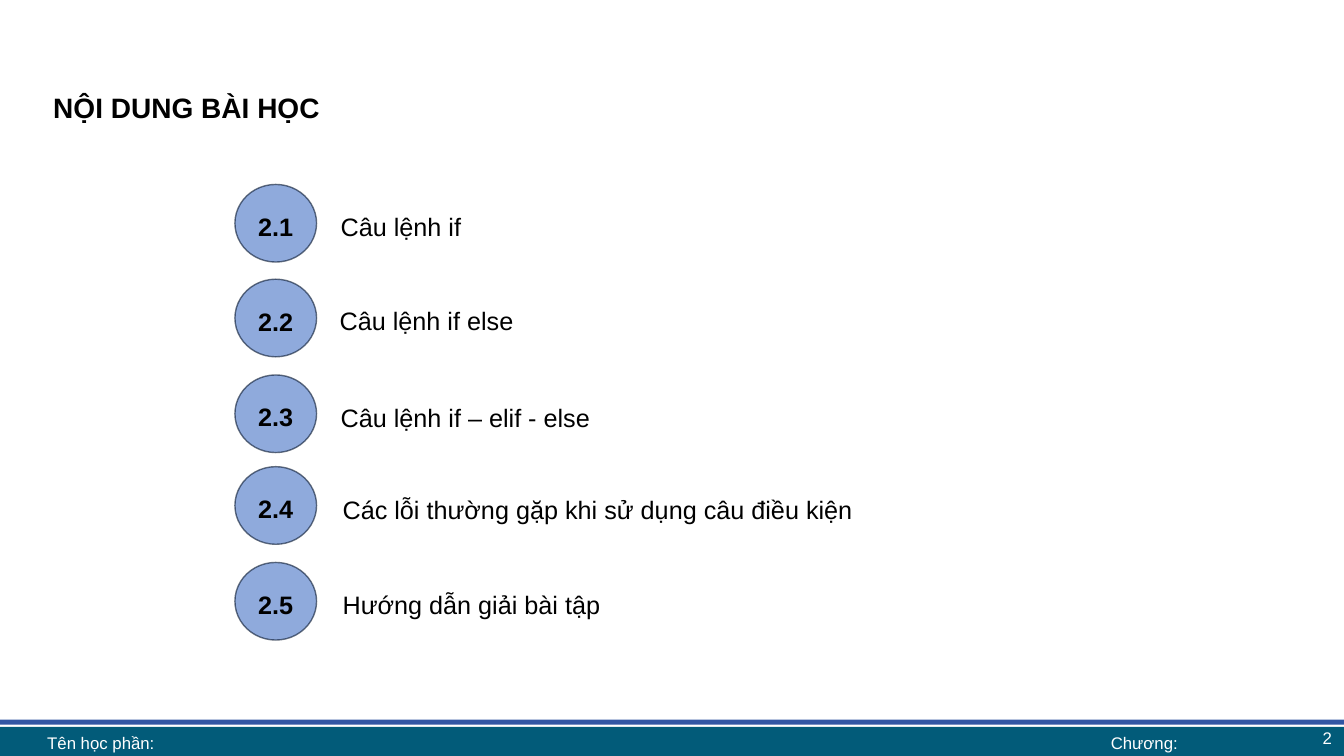
from lxml import etree
from pptx import Presentation
from pptx.dml.color import RGBColor
from pptx.enum.shapes import MSO_SHAPE as Kind
from pptx.enum.text import MSO_ANCHOR as Anchor, PP_ALIGN as Align
from pptx.oxml.ns import qn
from pptx.util import Pt

PX = 9144
SIZE = (1333, 750)
BLACK, WHITE = "000000", "FFFFFF"
DISC, EDGE = "8FAADC", "08172E"

BARS = [
    ((0, 721, 1333, 31), "025B79"),
    ((-1, 714, 1336, 5), "3256A4"),
]
TITLE = ("NỘI DUNG BÀI HỌC", (43, 78, 1247, 87))
FOOTER = [
    ("2", (1031, 714, 300, 35), Align.RIGHT),
    ("Chương:", (1060, 721, 150, 31), Align.CENTER),
    ("Tên học phần:", (37, 721, 1024, 31), Align.LEFT),
]
ITEMS = [
    ("2.1", 183, "Câu lệnh if", (328, 200, 757)),
    ("2.2", 277, "Câu lệnh if else", (327, 293, 762)),
    ("2.3", 372, "Câu lệnh if – elif - else", (328, 389, 506)),
    ("2.4", 463, "Các lỗi thường gặp khi sử dụng câu điều kiện",
     (330, 481, 620)),
    ("2.5", 558, "Hướng dẫn giải bài tập", (330, 575, 620)),
]
DISC_X, DISC_W, DISC_H = 233, 81, 77
LABEL_H = 42


def rgb(code):
    """Turn a hex string into a colour."""
    return RGBColor.from_string(code)


def emu(box):
    """Scale a box in px to EMU."""
    return [n * PX for n in box]


def shape(slide, kind, box, fill):
    """Add a flat filled shape without an outline."""
    item = slide.shapes.add_shape(kind, *emu(box))
    item.shadow.inherit = False
    item.fill.solid()
    item.fill.fore_color.rgb = rgb(fill)
    item.line.fill.background()
    return item


def write(item, text, size, color, align, anchor=Anchor.TOP, bold=False,
          lead=None, before=None):
    """Put one styled paragraph into a shape."""
    frame = item.text_frame
    frame.word_wrap = True
    frame.vertical_anchor = anchor
    frame.text = text
    para = frame.paragraphs[0]
    para.alignment = align
    para.line_spacing = lead
    para.space_before = before
    font = para.runs[0].font
    font.name, font.size, font.bold = "Arial", Pt(size), bold
    font.color.rgb = rgb(color)


def edge(item):
    """Give a disc its thin translucent outline."""
    item.line.color.rgb = rgb(EDGE)
    item.line.width = Pt(1)
    tint = item.line._ln.find(".//" + qn("a:srgbClr"))
    etree.SubElement(tint, qn("a:alpha")).set("val", "60000")


def main():
    """Build the lesson contents slide."""
    deck = Presentation()
    deck.slide_width, deck.slide_height = emu(SIZE)
    slide = deck.slides.add_slide(deck.slide_layouts[6])

    for box, fill in BARS:
        shape(slide, Kind.RECTANGLE, box, fill)

    text, box = TITLE
    head = slide.shapes.add_textbox(*emu(box))
    write(head, text, 20, BLACK, Align.JUSTIFY, bold=True, lead=1.2,
          before=Pt(5))

    for mark, top, text, (left, y, width) in ITEMS:
        disc = shape(slide, Kind.OVAL, (DISC_X, top, DISC_W, DISC_H), DISC)
        edge(disc)
        write(disc, mark, 18, BLACK, Align.CENTER, Anchor.MIDDLE, True, 1.2,
              Pt(5))
        label = slide.shapes.add_textbox(*emu((left, y, width, LABEL_H)))
        write(label, text, 18, BLACK, Align.JUSTIFY, lead=Pt(25),
              before=Pt(5))

    for text, box, align in FOOTER:
        note = slide.shapes.add_textbox(*emu(box))
        write(note, text, 12, WHITE, align, Anchor.MIDDLE)
        note.text_frame.margin_top = note.text_frame.margin_bottom = 0

    deck.save("out.pptx")


if __name__ == "__main__":
    main()
